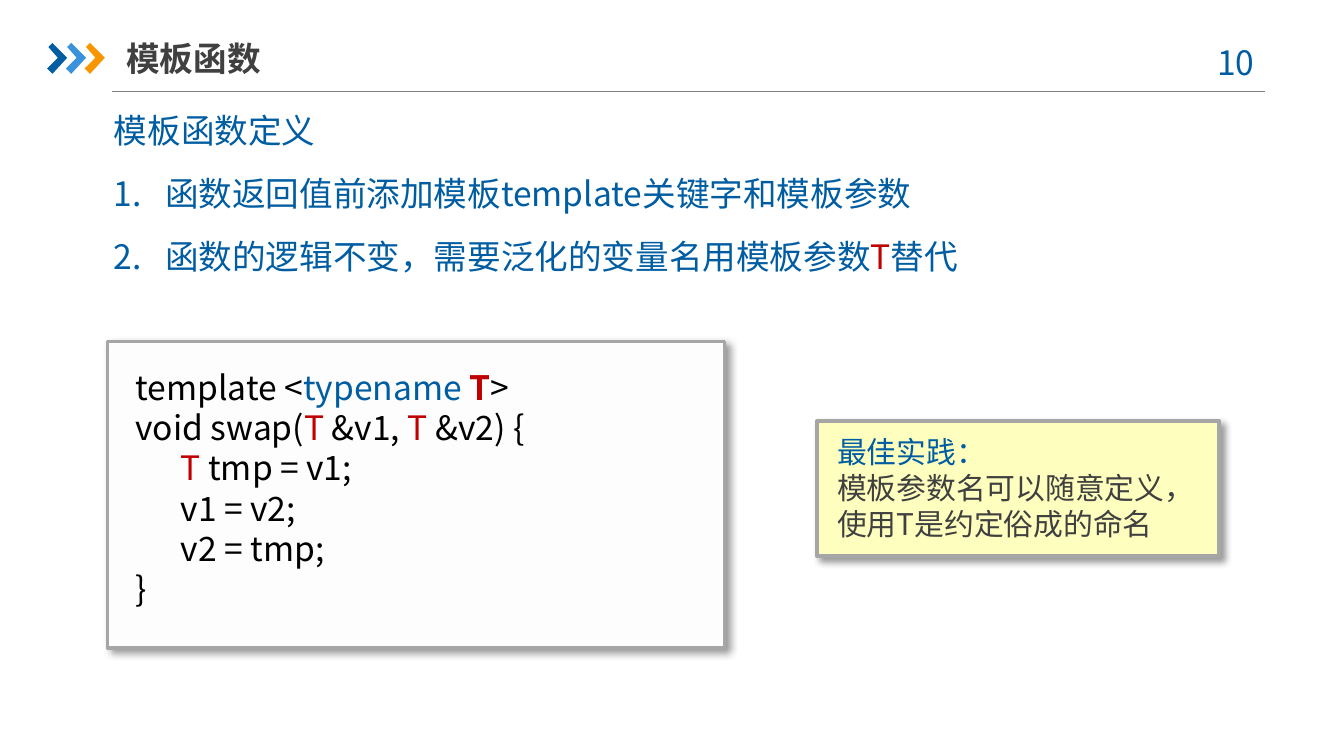
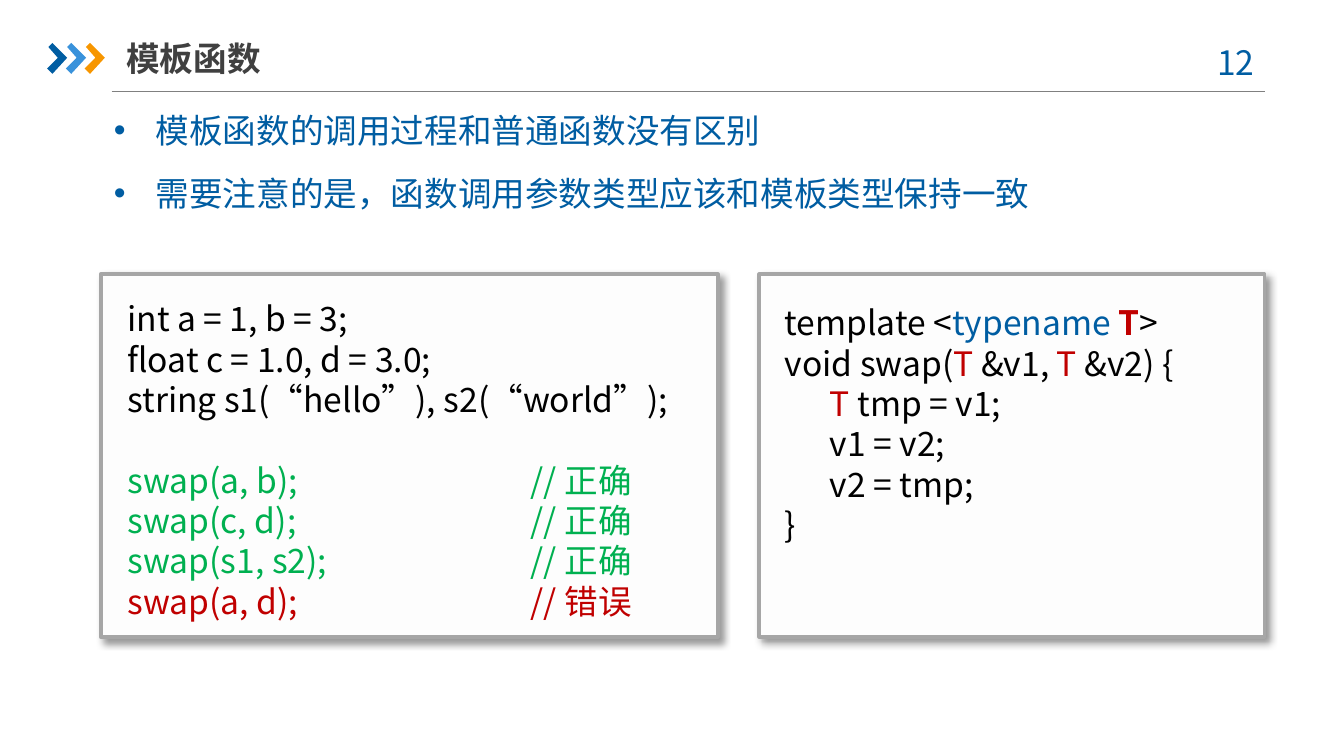
from lxml import etree
from pptx import Presentation
from pptx.dml.color import RGBColor
from pptx.enum import shapes, text
from pptx.oxml import ns
from pptx.util import Inches, Pt

FONT = "Noto Sans CJK SC"
BLUE, SKY, ORANGE = "005DA2", "3992DB", "F79600"
RED, GREEN, BLACK = "C00000", "00B050", "000000"
DARK, GRAY, BORDER = "404040", "808080", "A6A6A6"
PAPER, NOTE = "FDFDFD", "FEFFBE"

CHEVRON = [(0.01, 0.03), (0.04, 0), (0.15, 0.11), (0.04, 0.23), (0, 0.19), (0.08, 0.11)]

SWAP_CODE = [
    [("template <", BLACK), ("typename ", BLUE), ("T", RED, True), (">", BLACK)],
    [("void swap(", BLACK), ("T", RED), (" &v1, ", BLACK), ("T", RED), (" &v2) {", BLACK)],
    [("      ", BLACK), ("T ", RED), ("tmp = v1;", BLACK)],
    [("      v1 = v2;", BLACK)],
    [("      v2 = tmp;", BLACK)],
    [("}", BLACK)],
]
DECLARATIONS = ["int a = 1, b = 3;", "float c = 1.0, d = 3.0;", "string s1(“hello”), s2(“world”);"]
CALLS = [
    ("swap(a, b);\t\t// 正确", GREEN),
    ("swap(c, d);\t\t// 正确", GREEN),
    ("swap(s1, s2);\t\t// 正确", GREEN),
    ("swap(a, d);\t\t// 错误", RED),
]


def rgb(value):
    return RGBColor.from_string(value)


def add_element(parent, tag, **attributes):
    return etree.SubElement(parent, ns.qn(tag), attributes)


def style_span(span, color, size, bold):
    span.font.name = FONT
    span.font.size = Pt(size)
    span.font.bold = bold
    span.font.color.rgb = rgb(color)
    add_element(span.font._element, "a:ea", typeface=FONT)


def fill_text(shape, lines, size=18, align=text.PP_ALIGN.LEFT, after=0):
    frame = shape.text_frame
    frame.word_wrap = True
    for index, spans in enumerate(lines):
        para = frame.add_paragraph() if index else frame.paragraphs[0]
        para.alignment = align
        para.line_spacing = Pt(size * 1.2)
        para.space_after = Pt(after)
        for words, color, *bold in spans:
            if words == "\n":
                para.add_line_break()
                continue
            span = para.add_run()
            span.text = words
            style_span(span, color, size, bool(bold))
    return frame


def add_text(page, box, lines, **options):
    area = page.shapes.add_textbox(*map(Inches, box))
    return fill_text(area, lines, **options)


def add_bullet(para, indent, tag, **attributes):
    properties = para._p.get_or_add_pPr()
    properties.set("marL", str(Inches(indent)))
    properties.set("indent", str(-Inches(indent)))
    add_element(properties, "a:buFont", typeface="Arial")
    add_element(properties, tag, **attributes)


def add_tab_stops(para, stops):
    tabs = add_element(para._p.get_or_add_pPr(), "a:tabLst")
    for stop in stops:
        add_element(tabs, "a:tab", pos=str(Inches(stop)), algn="l")


def add_rectangle(page, box, color):
    panel = page.shapes.add_shape(shapes.MSO_SHAPE.RECTANGLE, *map(Inches, box))
    panel.fill.solid()
    panel.fill.fore_color.rgb = rgb(color)
    panel.line.fill.background()
    panel.shadow.inherit = False
    return panel


def add_card(page, box, color):
    card = add_rectangle(page, box, color)
    card.line.color.rgb = rgb(BORDER)
    card.line.width = Pt(2)
    effects = card._element.spPr.find(ns.qn("a:effectLst"))
    shadow = add_element(effects, "a:outerShdw", blurRad=str(Pt(4)), dist=str(Pt(3)),
                         dir="2700000", algn="tl", rotWithShape="0")
    tint = add_element(shadow, "a:srgbClr", val=BLACK)
    add_element(tint, "a:alpha", val="40000")


def add_chevrons(page, left, top):
    for index, color in enumerate((BLUE, SKY, ORANGE)):
        points = [(Inches(left + 0.14 * index + x), Inches(top + y)) for x, y in CHEVRON]
        builder = page.shapes.build_freeform(*points[0], scale=1.0)
        builder.add_line_segments(points[1:], close=True)
        chevron = builder.convert_to_shape()
        chevron.fill.solid()
        chevron.fill.fore_color.rgb = rgb(color)
        chevron.line.fill.background()
        chevron.shadow.inherit = False


def add_header(page, title, number):
    rule = page.shapes.add_connector(shapes.MSO_CONNECTOR.STRAIGHT,
                                     *map(Inches, (0.83, 0.68, 9.41, 0.68)))
    rule.line.color.rgb = rgb(GRAY)
    rule.line.width = Pt(0.75)
    add_element(rule._element.spPr, "a:effectLst")
    add_chevrons(page, 0.35, 0.32)
    add_text(page, (8.86, 0.26, 0.73, 0.4), [[(f"{number} ", BLUE)]], align=text.PP_ALIGN.CENTER)
    frame = add_text(page, (0.94, 0.22, 2.57, 0.42), [[(title, DARK, True)]])
    frame.margin_left = frame.margin_right = 0
    frame.vertical_anchor = text.MSO_ANCHOR.MIDDLE


def add_points(page, height, lines):
    box = (0.75, 0.77, 8.66, height)
    return add_text(page, box, lines, align=text.PP_ALIGN.JUSTIFY, after=12).paragraphs


def add_code(page, box, inset, lines):
    left, top, width, height = box
    across, down = inset
    add_card(page, box, PAPER)
    inner = (left + across, top + down, width - 2 * across, height - 2 * down)
    return add_text(page, inner, lines).paragraphs


def add_note(page, box):
    left, top, width, height = box
    add_card(page, box, NOTE)
    label = add_rectangle(page, (left + 0.05, top + 0.05, width - 0.1, height - 0.1), NOTE)
    spans = [("最佳实践：", BLUE), ("\n", BLUE),
             ("模板参数名可以随意定义，使用T是约定俗成的命名", DARK)]
    frame = fill_text(label, [spans], size=16, after=6)
    frame.vertical_anchor = text.MSO_ANCHOR.TOP


def add_definition_slide(page):
    add_header(page, "模板函数", 10)
    paras = add_points(page, 1.35, [
        [("模板函数定义", BLUE)],
        [("函数返回值前添加模板template关键字和模板参数", BLUE)],
        [("函数的逻辑不变，需要泛化的变量名用模板参数", BLUE), ("T", RED), ("替代", BLUE)],
    ])
    for para in paras[1:]:
        add_bullet(para, 0.38, "a:buAutoNum", type="arabicPeriod")
    add_code(page, (0.8, 2.54, 4.59, 2.28), (0.11, 0.14), SWAP_CODE)
    add_note(page, (6.08, 3.13, 2.99, 1.01))


def add_call_slide(page):
    add_header(page, "模板函数", 12)
    paras = add_points(page, 0.88, [
        [("模板函数的调用过程和普通函数没有区别", BLUE)],
        [("需要注意的是，函数调用参数类型应该和模板类型保持一致", BLUE)],
    ])
    for para in paras:
        add_bullet(para, 0.31, "a:buChar", char="•")
    lines = [[(line, BLACK)] for line in DECLARATIONS] + [[call] for call in CALLS]
    code = add_code(page, (0.75, 2.04, 4.59, 2.7), (0.1, 0.13), lines)
    calls = code[len(DECLARATIONS):]
    for para in calls:
        add_tab_stops(para, (2, 3))
    calls[0].space_before = Pt(21.6)
    add_code(page, (5.65, 2.04, 3.76, 2.7), (0.09, 0.16), SWAP_CODE)


def main():
    deck = Presentation()
    deck.slide_width = Inches(10)
    deck.slide_height = deck.slide_width * 9 // 16
    for build in (add_definition_slide, add_call_slide):
        build(deck.slides.add_slide(deck.slide_layouts[6]))
    deck.save("out.pptx")


if __name__ == "__main__":
    main()
